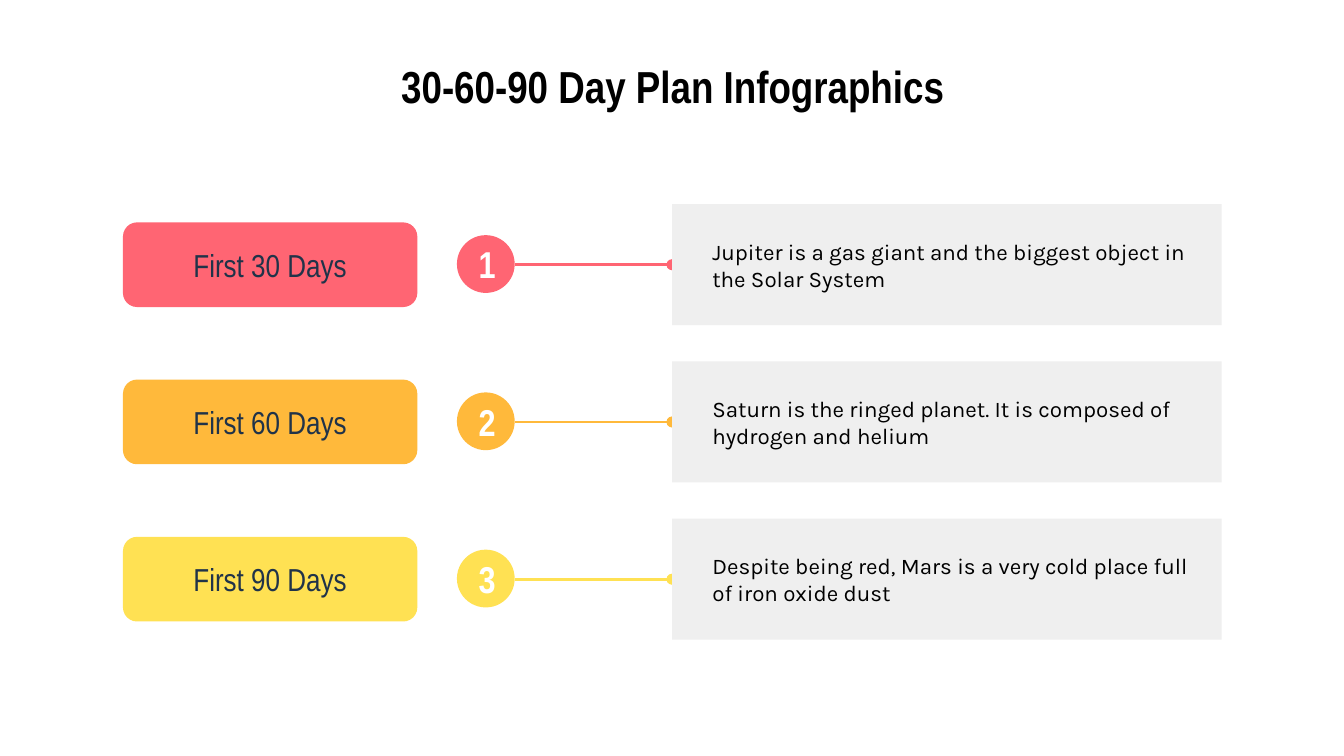
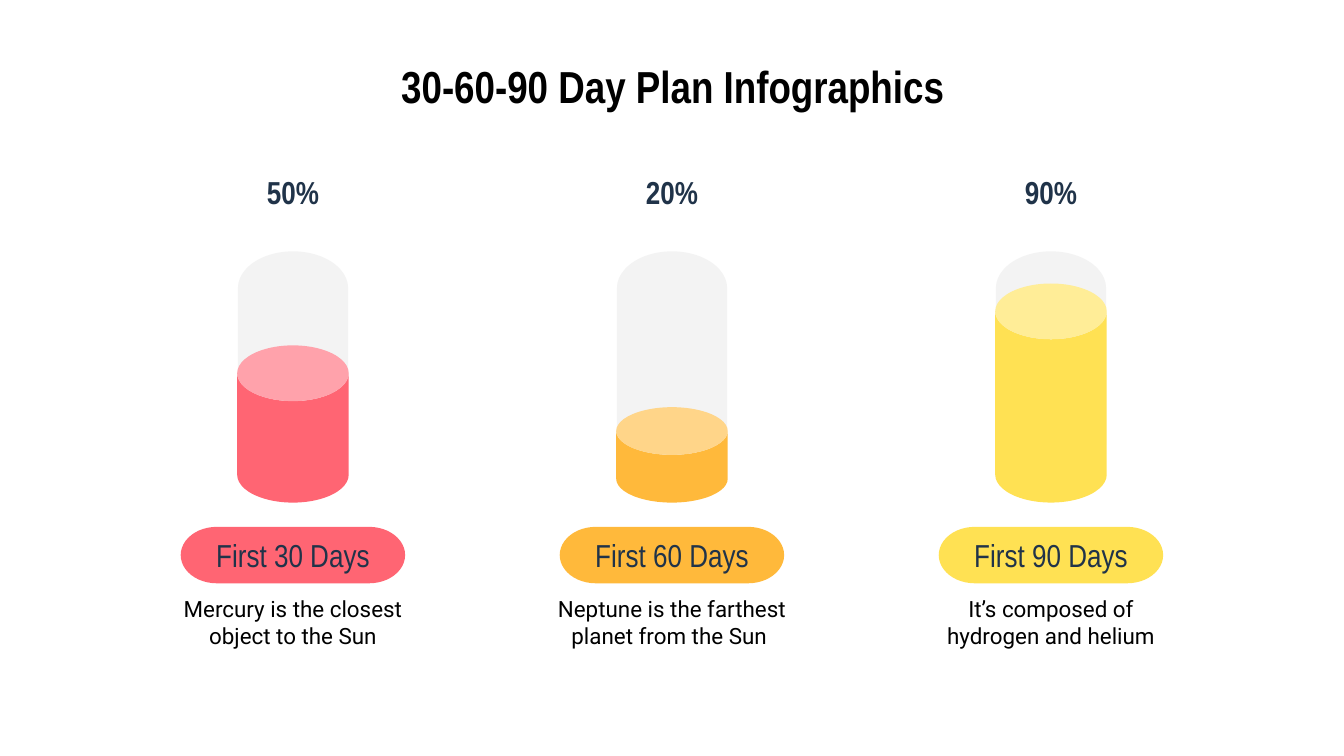
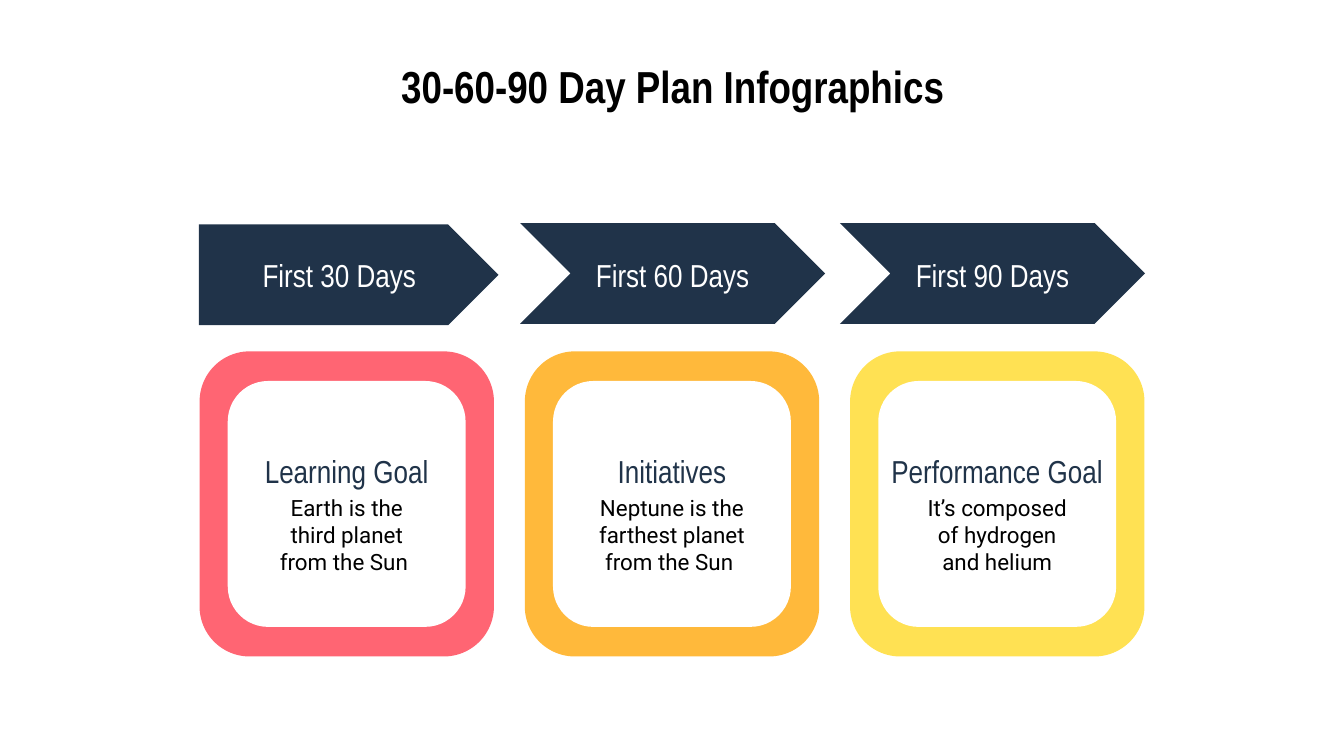
from dataclasses import dataclass
from typing import NamedTuple

from lxml import etree
from pptx import Presentation
from pptx.dml.color import RGBColor
from pptx.enum.shapes import MSO_CONNECTOR, MSO_SHAPE
from pptx.enum.text import MSO_ANCHOR, PP_ALIGN
from pptx.oxml.ns import qn
from pptx.shapes.autoshape import Shape
from pptx.shapes.connector import Connector
from pptx.shapes.shapetree import GroupShapes, SlideShapes
from pptx.slide import Slide
from pptx.util import Inches, Pt

STRAIGHT = MSO_CONNECTOR.STRAIGHT
RECT, OVAL = MSO_SHAPE.RECTANGLE, MSO_SHAPE.OVAL
ROUNDED, CAN = MSO_SHAPE.ROUNDED_RECTANGLE, MSO_SHAPE.CAN
PROCESS = MSO_SHAPE.FLOWCHART_ALTERNATE_PROCESS
TERMINATOR = MSO_SHAPE.FLOWCHART_TERMINATOR
PENTAGON, CHEVRON = MSO_SHAPE.PENTAGON, MSO_SHAPE.CHEVRON
LEFT, CENTER = PP_ALIGN.LEFT, PP_ALIGN.CENTER
TOP, MIDDLE = MSO_ANCHOR.TOP, MSO_ANCHOR.MIDDLE
LEFT_SIDE = 1

Shapes = SlideShapes | GroupShapes


class TextStyle(NamedTuple):
    font: str
    size: float
    color: str
    bold: bool = False


@dataclass(frozen=True)
class Theme:
    accents: tuple[str, ...] = ("FF6573", "FFB93B", "FFE153")
    navy: str = "203349"
    white: str = "FFFFFF"
    panel: str = "EFEFEF"
    tube: str = "F3F3F3"
    title: TextStyle = TextStyle("Arial Narrow", 24, "000000", True)
    label: TextStyle = TextStyle("Arial Narrow", 17, "203349")
    percent: TextStyle = TextStyle("Arial Narrow", 17, "203349", True)
    banner: TextStyle = TextStyle("Arial Narrow", 17, "FFFFFF")
    number: TextStyle = TextStyle("Arial Narrow", 20, "FFFFFF", True)
    panel_body: TextStyle = TextStyle("Karla", 12, "000000")
    body: TextStyle = TextStyle("Roboto", 12, "000000")


THEME = Theme()
TITLE = "30-60-90 Day Plan Infographics"
PERIODS = ("First 30 Days", "First 60 Days", "First 90 Days")


class Box(NamedTuple):
    left: float
    top: float
    width: float
    height: float

    def emu(self) -> tuple[int, ...]:
        return tuple(Inches(v) for v in self)


def centred(cx: float, cy: float, width: float, height: float) -> Box:
    return Box(cx - width / 2, cy - height / 2, width, height)


class Tube(NamedTuple):
    percent: str
    level: float
    caption: str


class Banner(NamedTuple):
    kind: MSO_SHAPE
    box: Box
    label_left: float


class Goal(NamedTuple):
    heading: str
    text: str


FACTS = (
    "Jupiter is a gas giant and the biggest object in the Solar System",
    "Saturn is the ringed planet. It is composed of hydrogen and helium",
    "Despite being red, Mars is a very cold place full of iron oxide dust",
)
TUBES = (
    Tube("50%", 1.17, "Mercury is the closest object to the Sun"),
    Tube("20%", 0.71, "Neptune is the farthest planet from the Sun "),
    Tube("90%", 1.63, "It’s composed of hydrogen and helium"),
)
BANNERS = (
    Banner(PENTAGON, Box(1.48, 1.67, 2.23, 0.75), 1.58),
    Banner(CHEVRON, Box(3.87, 1.66, 2.27, 0.75), 4.06),
    Banner(CHEVRON, Box(6.25, 1.66, 2.27, 0.75), 6.44),
)
GOALS = (
    Goal("Learning Goal", "Earth is the third planet from the Sun "),
    Goal("Initiatives", "Neptune is the farthest planet from the Sun "),
    Goal("Performance Goal", "It’s composed of hydrogen and helium"),
)


def write(shape: Shape, text: str, style: TextStyle, align: PP_ALIGN = CENTER,
          anchor: MSO_ANCHOR = MIDDLE, left_inset: float = 0.1) -> None:
    tf = shape.text_frame
    tf.word_wrap = True
    tf.vertical_anchor = anchor
    tf.margin_left = Inches(left_inset)
    tf.margin_top = tf.margin_right = tf.margin_bottom = Inches(0.1)
    p = tf.paragraphs[0]
    p.text = text
    p.alignment = align
    p.font.name = style.font
    p.font.size = Pt(style.size)
    p.font.bold = style.bold
    p.font.color.rgb = RGBColor.from_string(style.color)


def add_text(shapes: Shapes, box: Box, text: str, style: TextStyle,
             anchor: MSO_ANCHOR = MIDDLE) -> None:
    write(shapes.add_textbox(*box.emu()), text, style, anchor=anchor)


def add_block(shapes: Shapes, kind: MSO_SHAPE, box: Box, fill: str,
              adjustment: float | None = None) -> Shape:
    sp = shapes.add_shape(kind, *box.emu())
    sp.shadow.inherit = False
    sp.fill.solid()
    sp.fill.fore_color.rgb = RGBColor.from_string(fill)
    sp.line.fill.background()
    if adjustment is not None:
        sp.adjustments[0] = adjustment
    return sp


def add_dotted_end_line(shapes: Shapes, x1: float, x2: float, y: float,
                        color: str) -> Connector:
    line = shapes.add_connector(STRAIGHT, Inches(x1), Inches(y), Inches(x2), Inches(y))
    line.line.color.rgb = RGBColor.from_string(color)
    line.line.width = Pt(1.5)
    etree.SubElement(line.line._get_or_add_ln(), qn("a:tailEnd"), type="oval")
    etree.SubElement(line._element.spPr, qn("a:effectLst"))
    return line


def add_titled_slide(prs: Presentation) -> Slide:
    s = prs.slides.add_slide(prs.slide_layouts[6])
    add_text(s.shapes, Box(0.2, 0.34, 9.61, 0.63), TITLE, THEME.title, TOP)
    return s


def build_timeline(prs: Presentation) -> None:
    shapes = add_titled_slide(prs).shapes
    for i, (period, fact, color) in enumerate(zip(PERIODS, FACTS, THEME.accents)):
        cy = 1.97 + 1.17 * i
        line = add_dotted_end_line(shapes, 3.83, 5, cy, color)
        panel = add_block(shapes, RECT, Box(5, cy - 0.45, 4.09, 0.9), THEME.panel)
        write(panel, fact, THEME.panel_body, LEFT, left_inset=0.3)
        line.end_connect(panel, LEFT_SIDE)
        circle = add_block(shapes, OVAL, Box(3.4, cy - 0.22, 0.43, 0.43), color)
        write(circle, str(i + 1), THEME.number, LEFT)
        add_block(shapes, PROCESS, centred(2.01, cy, 2.19, 0.63), color)
        add_text(shapes, centred(2.01, cy, 1.89, 0.47), period, THEME.label)


def build_tubes(prs: Presentation) -> None:
    shapes = add_titled_slide(prs).shapes
    bottom = 3.74
    for i, (period, tube, color) in enumerate(zip(PERIODS, TUBES, THEME.accents)):
        cx = 5 + 2.82 * (i - 1)
        back = add_block(shapes, TERMINATOR, centred(cx, 2.72, 1.7, 0.82), THEME.tube)
        back.rotation = 270
        level = Box(cx - 0.83 / 2, bottom - tube.level, 0.83, tube.level)
        add_block(shapes, CAN, level, color, 0.5)
        add_block(shapes, TERMINATOR, centred(cx, 4.13, 1.67, 0.42), color)
        add_text(shapes, centred(cx, 4.13, 2.09, 0.47), period, THEME.label)
        add_text(shapes, centred(cx, 4.63, 2.09, 0.58), tube.caption, THEME.body)
        add_text(shapes, centred(cx, 1.43, 2.09, 0.47), tube.percent, THEME.percent)


def build_goals(prs: Presentation) -> None:
    shapes = add_titled_slide(prs).shapes
    for period, banner in zip(PERIODS, BANNERS):
        group = shapes.add_group_shape().shapes
        add_block(group, banner.kind, banner.box, THEME.navy, 0.5)
        add_text(group, Box(banner.label_left, 1.81, 1.89, 0.47), period, THEME.banner)
    for i, (goal, color) in enumerate(zip(GOALS, THEME.accents)):
        cx = 5 + 2.42 * (i - 1)
        frame = shapes.add_group_shape().shapes
        add_block(frame, ROUNDED, centred(cx, 3.75, 2.19, 2.27), color, 0.17)
        add_block(frame, ROUNDED, centred(cx, 3.75, 1.77, 1.83), THEME.white, 0.17)
        add_text(shapes, centred(cx, 3.5, 1.84, 0.47), goal.heading, THEME.label)
        add_text(shapes, centred(cx, 3.98, 1.38, 0.58), goal.text, THEME.body)


def main() -> None:
    prs = Presentation()
    prs.slide_width = Inches(10)
    prs.slide_height = prs.slide_width * 9 // 16
    build_timeline(prs)
    build_tubes(prs)
    build_goals(prs)
    prs.save("out.pptx")


if __name__ == "__main__":
    main()
